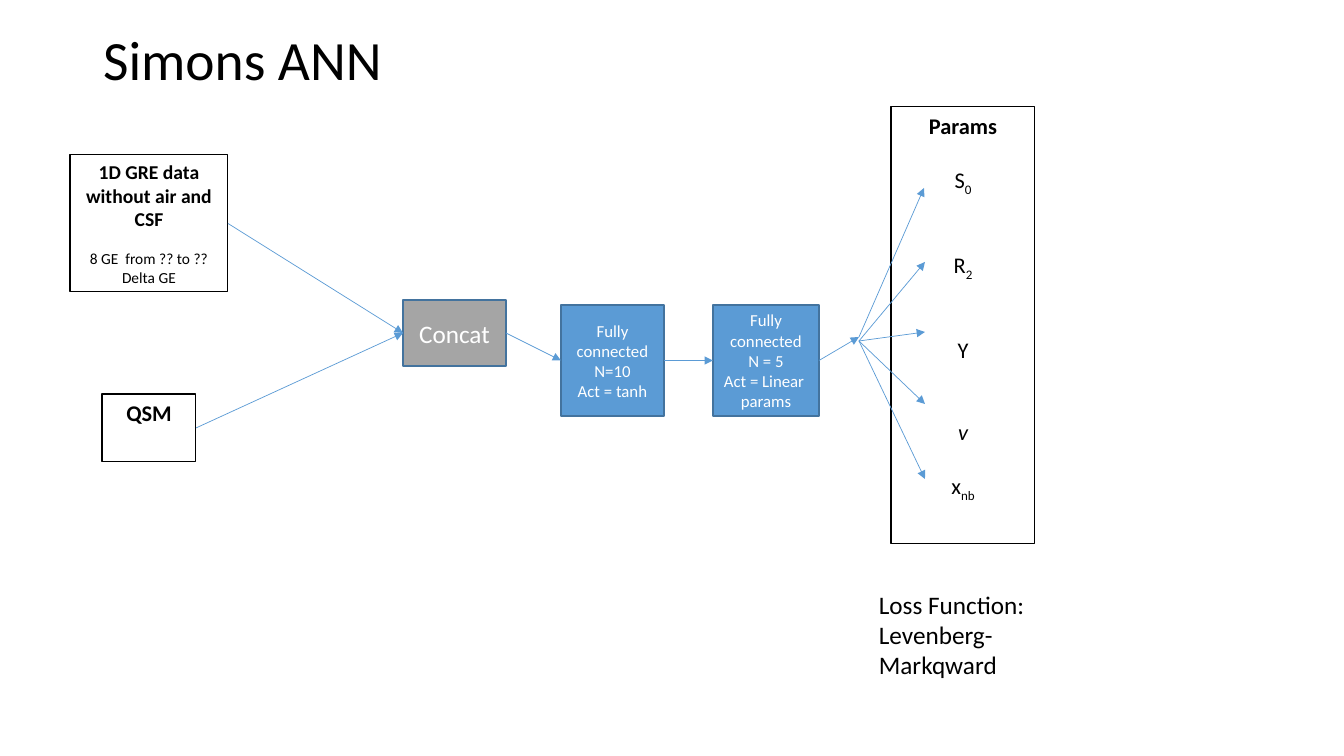
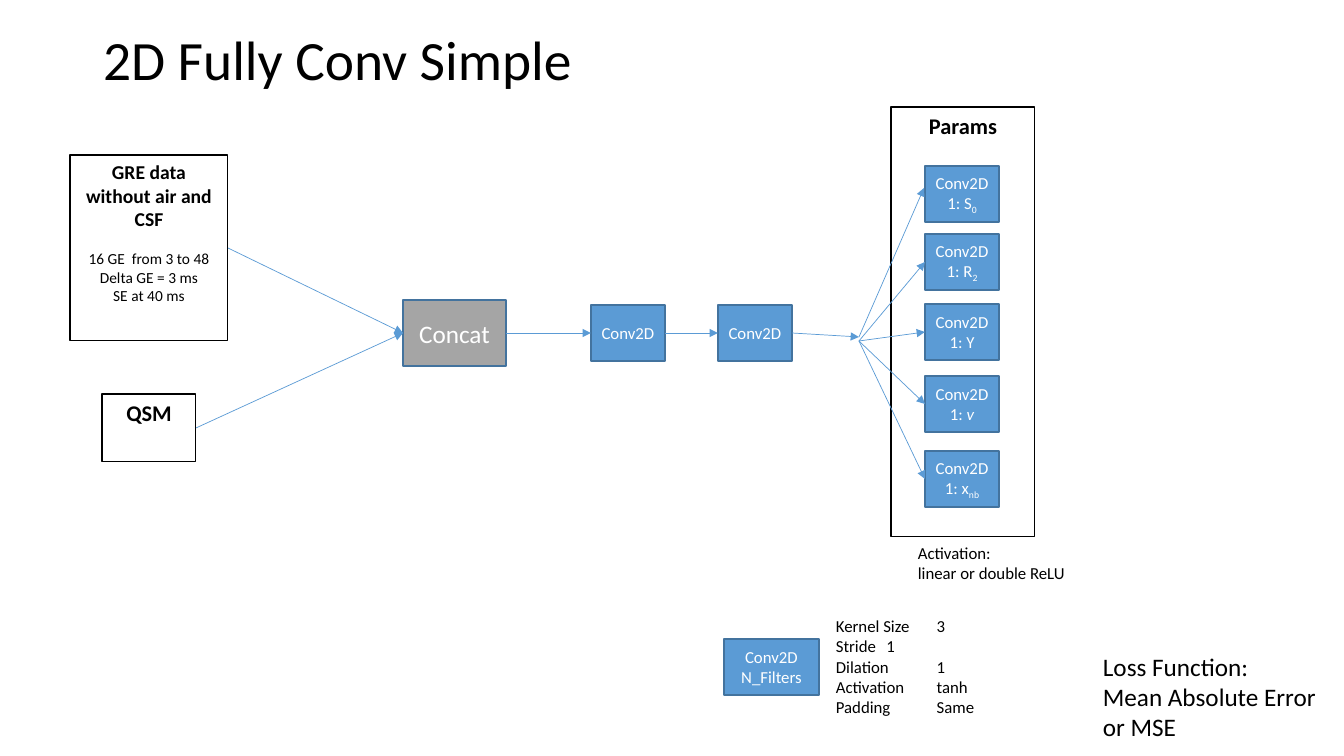
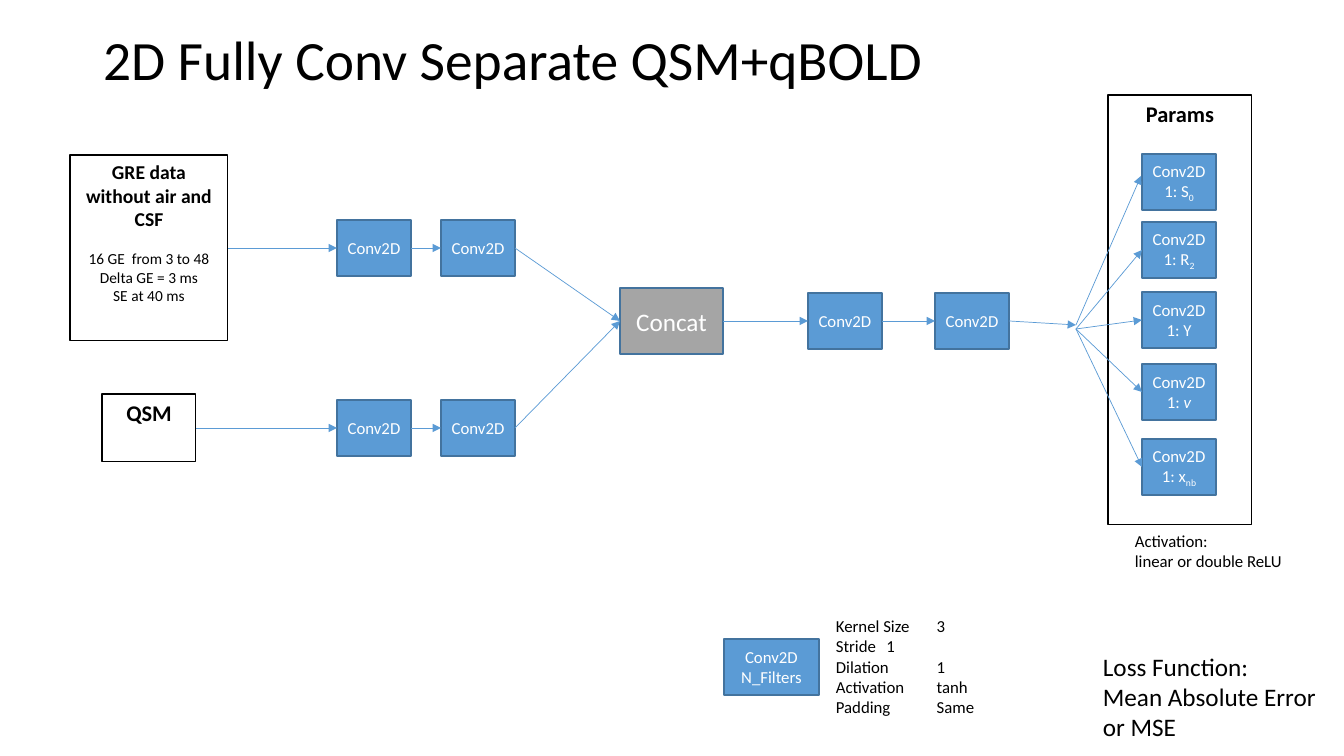
from dataclasses import dataclass
from itertools import chain, pairwise, repeat

from lxml.etree import SubElement
from pptx import Presentation
from pptx.dml.color import RGBColor
from pptx.enum.shapes import MSO_CONNECTOR, MSO_SHAPE
from pptx.enum.text import MSO_ANCHOR as Anchor, MSO_AUTO_SIZE as AutoSize, PP_ALIGN as Align
from pptx.oxml.ns import qn
from pptx.util import Emu, Pt

BLACK = RGBColor(0x00, 0x00, 0x00)
WHITE = RGBColor(0xFF, 0xFF, 0xFF)
BLUE = RGBColor(0x5B, 0x9B, 0xD5)
DARK_BLUE = RGBColor(0x43, 0x73, 0x9E)
GRAY = RGBColor(0xA5, 0xA5, 0xA5)
FONT = "Calibri"
EMU_PER_PIXEL = 914400 / 100.8
CONV_WIDTH, CONV_HEIGHT = 74, 56


@dataclass(frozen=True)
class Box:
    """Rectangle in pixels."""
    x: float
    y: float
    w: float
    h: float

    @property
    def middle(self):
        """Height of the centre line."""
        return self.y + self.h / 2

    @property
    def entry(self):
        """Point where arrows arrive."""
        return self.x, self.middle

    @property
    def exit(self):
        """Point where arrows leave."""
        return self.x + self.w, self.middle


@dataclass(frozen=True)
class Span:
    """Piece of a line with its own style."""
    text: str
    italic: bool = False
    sub: bool = False


SYMBOLS = [
    (Span("S"), Span("0", sub=True)),
    (Span("R"), Span("2", sub=True)),
    (Span("Y"),),
    (Span("v", italic=True),),
    (Span("x"), Span("nb", sub=True)),
]
OUTPUT_TOPS = [59, 127, 197, 269, 344]
TITLE = Box(93, 40, 1159, 45)
QSM = Box(102, 394, 94, 68)
LEGEND = Box(724, 639, 262, 56)
LOSS = Box(1093, 646, 241, 102)
DATA = Box(70, 155, 158, 186)
DATA_DETAILS = ["16 GE  from 3 to 48", "Delta GE = 3 ms", "SE at 40 ms"]
LOSS_LINES = ["Loss Function:", "Mean Absolute Error", "or MSE"]


def emu(*pixels):
    """Turn pixel lengths into EMU."""
    return [Emu(round(length * EMU_PER_PIXEL)) for length in pixels]


def write(frame, *lines, size, color=BLACK, bold=False, align=Align.LEFT,
          anchor=Anchor.TOP, gaps=(), spacing=None):
    """Append lines to a text frame, with gaps in points before them."""
    frame.word_wrap = True
    frame.auto_size = AutoSize.NONE
    frame.vertical_anchor = anchor
    for line, gap in zip(lines, chain(gaps, repeat(0))):
        para = frame.paragraphs[-1]
        if para.runs:
            para = frame.add_paragraph()
        para.alignment = align
        para.space_before = Pt(gap)
        if spacing:
            para.line_spacing = spacing
        for span in (Span(line),) if isinstance(line, str) else line:
            run = para.add_run()
            run.text = span.text
            font = run.font
            font.name, font.size, font.bold = FONT, Pt(size), bold
            font.italic = span.italic
            font.color.rgb = color
            if span.sub:
                run._r.get_or_add_rPr().set("baseline", "-25000")


def add_rect(page, box, line, width, fill=None):
    """Draw a rectangle and return its text frame."""
    shape = page.shapes.add_shape(MSO_SHAPE.RECTANGLE, *emu(box.x, box.y, box.w, box.h))
    shape.shadow.inherit = False
    if fill is None:
        shape.fill.background()
    else:
        shape.fill.solid()
        shape.fill.fore_color.rgb = fill
    shape.line.color.rgb = line
    shape.line.width = Pt(width)
    return shape.text_frame


def add_layer(page, box, *lines, fill=BLUE, size=12):
    """Draw a filled network layer and return its box."""
    frame = add_rect(page, box, DARK_BLUE, 1, fill)
    write(frame, *lines, size=size, color=WHITE, align=Align.CENTER, anchor=Anchor.MIDDLE)
    return box


def add_conv(page, x, y, *extra):
    """Draw a convolution layer of standard size."""
    return add_layer(page, Box(x, y, CONV_WIDTH, CONV_HEIGHT), "Conv2D", *extra)


def add_concat(page, box):
    """Draw the concatenation layer."""
    return add_layer(page, box, "Concat", fill=GRAY, size=18)


def add_panel(page, box, heading, size=16):
    """Draw an outlined panel with a bold heading and return its frame."""
    frame = add_rect(page, box, BLACK, 0.75)
    write(frame, *heading, size=size, bold=True, align=Align.CENTER)
    return frame


def add_note(page, box, *lines, size):
    """Place plain text."""
    note = page.shapes.add_textbox(*emu(box.x, box.y, box.w, box.h))
    write(note.text_frame, *lines, size=size)


def add_arrow(page, start, end):
    """Draw a thin arrow between two points."""
    arrow = page.shapes.add_connector(MSO_CONNECTOR.STRAIGHT, *emu(*start, *end))
    arrow.line.color.rgb = BLUE
    arrow.line.width = Pt(0.5)
    properties = arrow._element.spPr
    SubElement(properties.find(qn("a:ln")), qn("a:tailEnd"), type="triangle")
    SubElement(properties, qn("a:effectLst"))


def link(page, *boxes):
    """Join neighbouring boxes with arrows."""
    for source, target in pairwise(boxes):
        add_arrow(page, source.exit, target.entry)


def add_page(deck, title):
    """Add a slide with a formatted title."""
    page = deck.slides.add_slide(deck.slide_layouts[5])
    holder = page.shapes.title
    holder.left, holder.top, holder.width, holder.height = emu(TITLE.x, TITLE.y, TITLE.w, TITLE.h)
    write(holder.text_frame, title, size=39.6, anchor=Anchor.MIDDLE, spacing=0.9)
    return page


def add_inputs(page, data, first_line, details):
    """Draw the two input panels."""
    frame = add_panel(page, data, [first_line, "without air and CSF"], size=14)
    write(frame, *details, size=11, align=Align.CENTER, gaps=[13.4])
    add_panel(page, QSM, ["QSM"])


def add_fan(page, panel, source):
    """Spread arrows from a source layer to the outputs in a panel."""
    hub_x, hub_y = panel.x - 32, panel.y + 230
    add_arrow(page, source.exit, (hub_x, hub_y))
    add_arrow(page, (hub_x, hub_y), (panel.x + 33, panel.y + 81))
    for top in OUTPUT_TOPS[1:]:
        add_arrow(page, (hub_x, hub_y + 4), (panel.x + 34, panel.y + top + CONV_HEIGHT / 2))


def add_conv_head(page, concat):
    """Draw the layers and outputs that follow a concatenation."""
    add_concat(page, concat)
    right = concat.x + concat.w
    layers = [add_conv(page, right + step, concat.y + 5) for step in (85, 212)]
    link(page, concat, *layers)
    panel = Box(concat.x + 488, concat.y - 193, 144, 430)
    add_panel(page, panel, ["Params"])
    for top, symbol in zip(OUTPUT_TOPS, SYMBOLS):
        add_conv(page, panel.x + 34, panel.y + top, (Span("1: "), *symbol))
    add_fan(page, panel, layers[-1])
    add_note(page, Box(panel.x + 17, panel.y + panel.h + 1, 182, 50),
             "Activation:", "linear or double ReLU", size=12)


def add_legend(page, box):
    """Explain the convolution settings."""
    add_layer(page, Box(box.x, box.y, 95, box.h), "Conv2D", "N_Filters")
    add_note(page, Box(box.x + 102, box.y - 28, box.w - 102, 112), "Kernel Size\t3", "Stride\t1",
             "Dilation\t1", "Activation\ttanh", "Padding\tSame", size=12)


def add_conv_page(deck, title, concat, branch_lefts=()):
    """Build a convolutional slide, with optional layers on each input."""
    page = add_page(deck, title)
    add_inputs(page, DATA, "GRE data", DATA_DETAILS)
    add_conv_head(page, concat)
    for source in (DATA, QSM):
        branch = [add_conv(page, left, source.middle - CONV_HEIGHT / 2) for left in branch_lefts]
        link(page, source, *branch, concat)
    add_legend(page, LEGEND)
    add_note(page, LOSS, *LOSS_LINES, size=18)


def add_dense_page(deck, title, concat):
    """Build the fully connected slide."""
    page = add_page(deck, title)
    data = Box(DATA.x, DATA.y, DATA.w, 137)
    add_inputs(page, data, "1D GRE data", ["8 GE  from ?? to ??", "Delta GE"])
    add_concat(page, concat)
    hidden = add_layer(page, Box(561, 305, 103, 111), "Fully connected", "N=10", "Act = tanh")
    output = add_layer(page, Box(713, 305, 106, 111),
                       "Fully connected", "N = 5", "Act = Linear  params")
    link(page, data, concat, hidden, output)
    link(page, QSM, concat)
    panel = Box(891, 107, 144, 437)
    frame = add_panel(page, panel, ["Params"])
    write(frame, *SYMBOLS, size=16, align=Align.CENTER, gaps=[19.5, 39, 39, 39, 19.5])
    add_fan(page, panel, output)
    add_note(page, Box(869, 584, 241, 102), "Loss Function:", "Levenberg-Markqward", size=18)


def main():
    """Build and save the deck."""
    deck = Presentation()
    deck.slide_width, deck.slide_height = emu(1344, 756)
    concat = Box(403, 300, 103, 66)
    add_dense_page(deck, "Simons ANN", concat)
    add_conv_page(deck, "2D Fully Conv Simple", concat)
    add_conv_page(deck, "2D Fully Conv Separate QSM+qBOLD", Box(620, 288, 103, 66), (337, 441))
    deck.save("out.pptx")


main()
